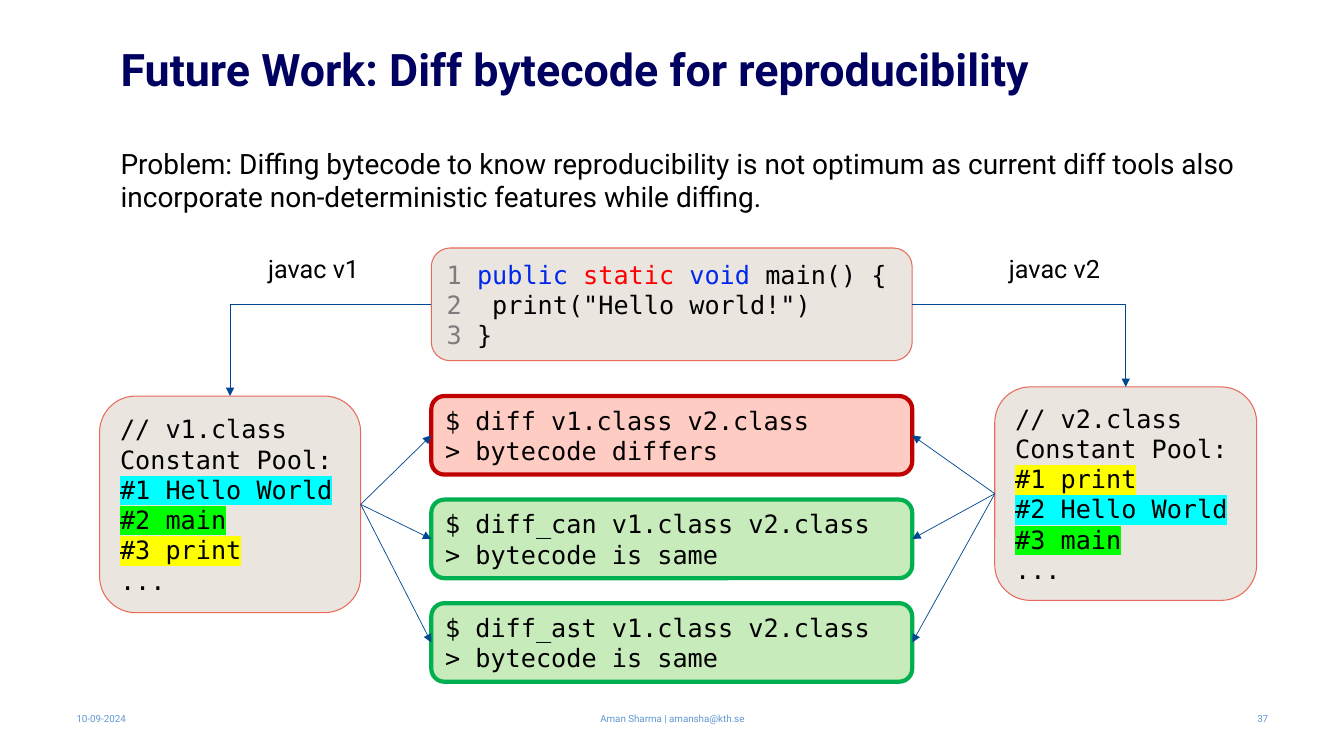
from lxml import etree
from pptx import Presentation
from pptx.dml.color import RGBColor
from pptx.enum.shapes import MSO_CONNECTOR, MSO_SHAPE
from pptx.enum.text import MSO_ANCHOR, PP_ALIGN
from pptx.oxml.ns import qn
from pptx.util import Cm, Pt

COLORS = {
    "title": "000061", "footer": "6198D2", "black": "000000", "arrow": "004791",
    "number": "7D7D7D", "keyword": "0028ED", "modifier": "FF0000",
    "sand": "EBE5E0", "coral": "E86A58", "pink": "FFCCC4", "red": "C00000",
    "mint": "C7EBBA", "green": "00B050",
    "cyan mark": "00FFFF", "green mark": "00FF00", "yellow mark": "FFFF00",
}
TOP, LEFT, RIGHT = 0, 1, 3  # connection sites of a rounded box


class SlideBuilder:
    body = {"name": "Roboto", "size": Pt(18)}
    code = {"name": "DejaVu Sans Mono", "size": Pt(18)}

    def __init__(self, slide):
        self.slide = slide

    def add_run(self, paragraph, text, style, color="black", mark=None):
        run = paragraph.add_run()
        run.text = text
        for name, value in style.items():
            setattr(run.font, name, value)
        run.font.color.rgb = RGBColor.from_string(COLORS[color])
        if mark:
            highlight = etree.Element(qn("a:highlight"))
            etree.SubElement(highlight, qn("a:srgbClr"), val=COLORS[mark])
            run.font._element.find(qn("a:solidFill")).addnext(highlight)

    def text(self, place, text, style=None, color="black", align=PP_ALIGN.LEFT,
             spacing=None, **frame_format):
        frame = self.slide.shapes.add_textbox(*map(Cm, place)).text_frame
        for name, value in {"word_wrap": True, **frame_format}.items():
            setattr(frame, name, value)
        paragraph = frame.paragraphs[0]
        paragraph.alignment = align
        paragraph.line_spacing = spacing
        self.add_run(paragraph, text, {**self.body, **(style or {})}, color)

    def code_box(self, place, lines, fill="sand", line="coral", width=0.75):
        """Each line is a list of runs: (text, colour, highlight)."""
        shape = self.slide.shapes.add_shape(MSO_SHAPE.ROUNDED_RECTANGLE, *map(Cm, place))
        shape.shadow.inherit = False
        shape.fill.solid()
        shape.fill.fore_color.rgb = RGBColor.from_string(COLORS[fill])
        shape.line.color.rgb = RGBColor.from_string(COLORS[line])
        shape.line.width = Pt(width)
        frame = shape.text_frame
        frame.word_wrap = True
        frame.vertical_anchor = MSO_ANCHOR.MIDDLE
        for index, runs in enumerate(lines):
            paragraph = frame.add_paragraph() if index else frame.paragraphs[0]
            paragraph.alignment = PP_ALIGN.LEFT
            for text, *look in runs:
                self.add_run(paragraph, text, self.code, *look)
        return shape

    def arrow(self, start, start_site, end, end_site, bent=False):
        kind = MSO_CONNECTOR.ELBOW if bent else MSO_CONNECTOR.STRAIGHT
        connector = self.slide.shapes.add_connector(kind, 0, 0, 0, 0)
        connector.begin_connect(start, start_site)
        connector.end_connect(end, end_site)
        connector.line.color.rgb = RGBColor.from_string(COLORS["arrow"])
        connector.line.width = Pt(0.5)
        properties = connector._element.spPr
        if bent:  # one corner only
            properties.find(qn("a:prstGeom")).set("prst", "bentConnector2")
        etree.SubElement(properties.find(qn("a:ln")), qn("a:tailEnd"), type="triangle")
        etree.SubElement(properties, qn("a:effectLst"))


def main():
    presentation = Presentation()
    presentation.slide_width, presentation.slide_height = Cm(33.87), Cm(19.05)
    builder = SlideBuilder(presentation.slides.add_slide(presentation.slide_layouts[6]))

    # Title and problem statement
    builder.text((2.79, 0.91, 29.39, 1.65), "Future Work: Diff bytecode for reproducibility",
                 {"size": Pt(32), "bold": True}, "title", spacing=0.9,
                 vertical_anchor=MSO_ANCHOR.MIDDLE, margin_top=Cm(0.3))
    builder.text((2.79, 3.56, 28.88, 1.96),
                 "Problem: Diffing bytecode to know reproducibility is not optimum as current "
                 "diff tools also incorporate non-deterministic features while diffing.",
                 {"size": Pt(20)})

    # Footer
    for left, width, text, align in (
            (1.68, 7.62, "10-09-2024", PP_ALIGN.LEFT),
            (11.23, 11.43, "Aman Sharma | amansha@kth.se", PP_ALIGN.CENTER),
            (24.59, 7.62, "37", PP_ALIGN.RIGHT)):
        builder.text((left, 17.98, width, 0.26), text, {"size": Pt(7)}, "footer", align,
                     vertical_anchor=MSO_ANCHOR.MIDDLE)

    # Source code
    source = builder.code_box((10.87, 6.25, 12.12, 2.84), [
        [("1", "number"), (" public ", "keyword"), ("static ", "modifier"),
         ("void ", "keyword"), ("main() {",)],
        [("2", "number"), ("  print(\"Hello world!\")",)],
        [("3 ", "number"), ("}",)],
    ])

    # Diff commands and their results
    results = []
    for index, (command, result, fill, line) in enumerate((
            ("diff", "differs", "pink", "red"),
            ("diff_can", "is same", "mint", "green"),
            ("diff_ast", "is same", "mint", "green"))):
        results.append(builder.code_box(
            (10.87, 9.98 + 2.61 * index, 12.12, 1.98),
            [[(f"$ {command} v1.class v2.class",)], [(f"> bytecode {result}",)]],
            fill, line, 3))

    # Compiled classes, one per compiler version
    marks = {"Hello World": "cyan mark", "main": "green mark", "print": "yellow mark"}
    for version, place, label_left, pool, outer, inner in (
            ("v1", (2.51, 9.98, 6.58, 5.46), 5.49,
             ("Hello World", "main", "print"), LEFT, RIGHT),
            ("v2", (25.07, 9.75, 6.6, 5.38), 24.16,
             ("print", "Hello World", "main"), RIGHT, LEFT)):
        constants = [[(f"#{number} {name}", "black", marks[name])]
                     for number, name in enumerate(pool, 1)]
        compiled = builder.code_box(
            place, [[(f"// {version}.class",)], [("Constant Pool:",)], *constants, [("...",)]])
        builder.text((label_left, 6.27, 4.83, 1.02), f"javac {version}",
                     align=PP_ALIGN.CENTER)
        builder.arrow(source, outer, compiled, TOP, bent=True)
        for result in results:
            builder.arrow(compiled, inner, result, outer)

    presentation.save("out.pptx")


if __name__ == "__main__":
    main()
